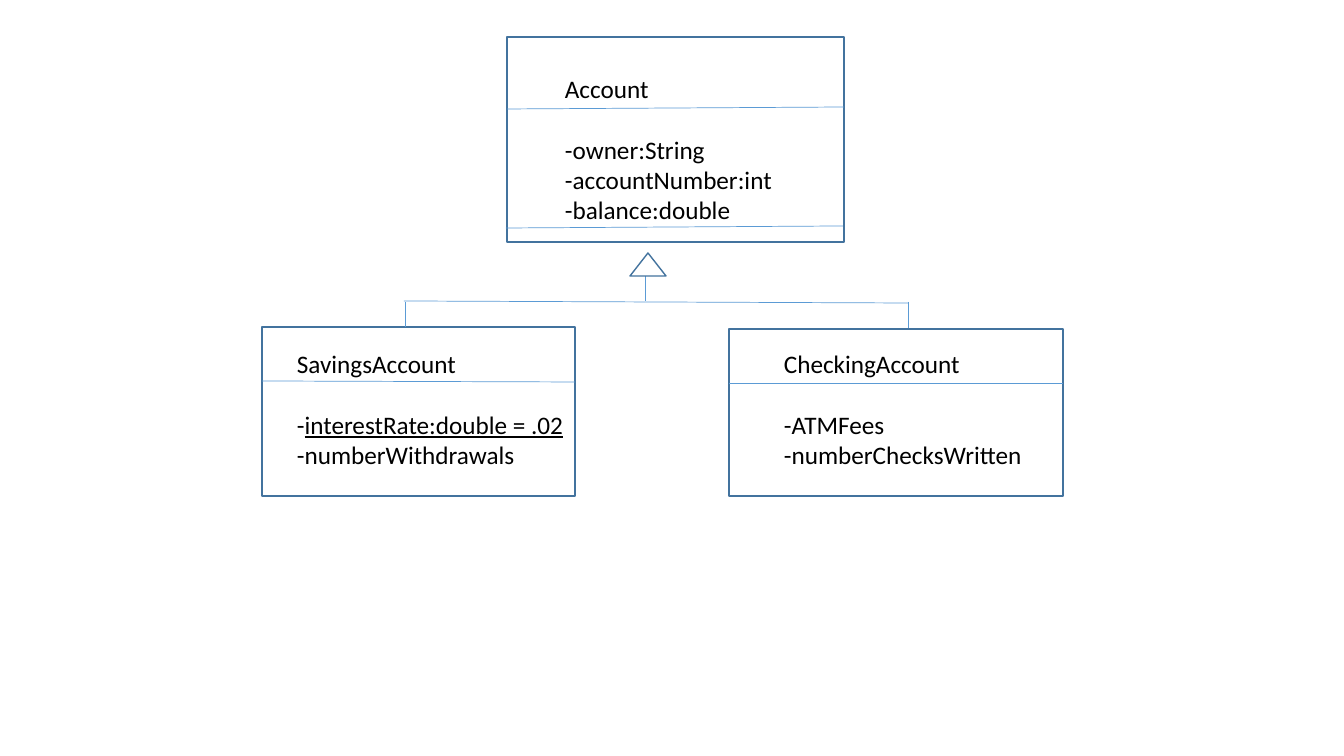
from lxml import etree
from pptx import Presentation
from pptx.dml.color import RGBColor
from pptx.enum.shapes import MSO_CONNECTOR, MSO_SHAPE
from pptx.oxml.ns import qn
from pptx.util import Pt

RECTANGLE = MSO_SHAPE.RECTANGLE
TRIANGLE = MSO_SHAPE.ISOSCELES_TRIANGLE
STRAIGHT = MSO_CONNECTOR.STRAIGHT

# Content: frames and labels are left, top, width, height in pixels;
# lines are start x, start y, end x, end y. Static attributes are underlined.
CLASSES = [
    {"name": "Account",
     "attributes": ["owner:String", "accountNumber:int", "balance:double"],
     "static": [],
     "frame": (507, 37, 337, 205), "label": (555, 68, 230, 194),
     "dividers": [(507, 109, 844, 107), (506, 228, 843, 226)]},
    {"name": "SavingsAccount",
     "attributes": ["interestRate:double = .02", "numberWithdrawals"],
     "static": ["interestRate:double = .02"],
     "frame": (262, 327, 313, 169), "label": (287, 343, 289, 132),
     "dividers": [(262, 381, 575, 382)]},
    {"name": "CheckingAccount",
     "attributes": ["ATMFees", "numberChecksWritten"],
     "static": [],
     "frame": (729, 329, 334, 167), "label": (774, 343, 261, 132),
     "dividers": [(729, 383, 1063, 383)]},
]
INHERITANCE_LINES = [
    (404, 301, 909, 303),
    (405, 302, 405, 327),
    (908, 302, 908, 328),
    (645, 276, 645, 301),
]
INHERITANCE_ARROW = (630, 253, 36, 23)

FONT, FONT_SIZE, LINE_HEIGHT = "Calibri", 18, 22
TEXT, OUTLINE, CONNECTOR = "000000", "43739E", "5B9BD5"
EMU_PER_PIXEL = 914400 / 100.8


def emu(lengths):
    return [round(length * EMU_PER_PIXEL) for length in lengths]


def color(value):
    return RGBColor.from_string(value)


def add_outline(page, kind, place):
    shape = page.shapes.add_shape(kind, *emu(place))
    shape.shadow.inherit = False
    shape.fill.background()
    shape.line.color.rgb = color(OUTLINE)
    shape.line.width = Pt(1)


def add_line(page, ends):
    line = page.shapes.add_connector(STRAIGHT, *emu(ends))
    line.line.color.rgb = color(CONNECTOR)
    line.line.width = Pt(0.5)
    etree.SubElement(line._element.spPr, qn("a:effectLst"))


def add_label(page, item):
    frame = page.shapes.add_textbox(*emu(item["label"])).text_frame
    frame.word_wrap = False
    frame.text = item["name"]
    for index, attribute in enumerate(item["attributes"]):
        para = frame.add_paragraph()
        if index == 0:
            para.space_before = Pt(LINE_HEIGHT)
        if attribute in item["static"]:
            para.add_run().text = "-"
            span = para.add_run()
            span.text = attribute
            span.font.underline = True
        else:
            para.add_run().text = "-" + attribute
    for para in frame.paragraphs:
        para.font.name = FONT
        para.font.size = Pt(FONT_SIZE)
        para.font.color.rgb = color(TEXT)


deck = Presentation()
deck.slide_width, deck.slide_height = emu((1344, 756))
page = deck.slides.add_slide(deck.slide_layouts[6])

# Class boxes
for item in CLASSES:
    add_label(page, item)
    add_outline(page, RECTANGLE, item["frame"])
    for divider in item["dividers"]:
        add_line(page, divider)

# Inheritance tree
for ends in INHERITANCE_LINES:
    add_line(page, ends)
add_outline(page, TRIANGLE, INHERITANCE_ARROW)

deck.save("out.pptx")
